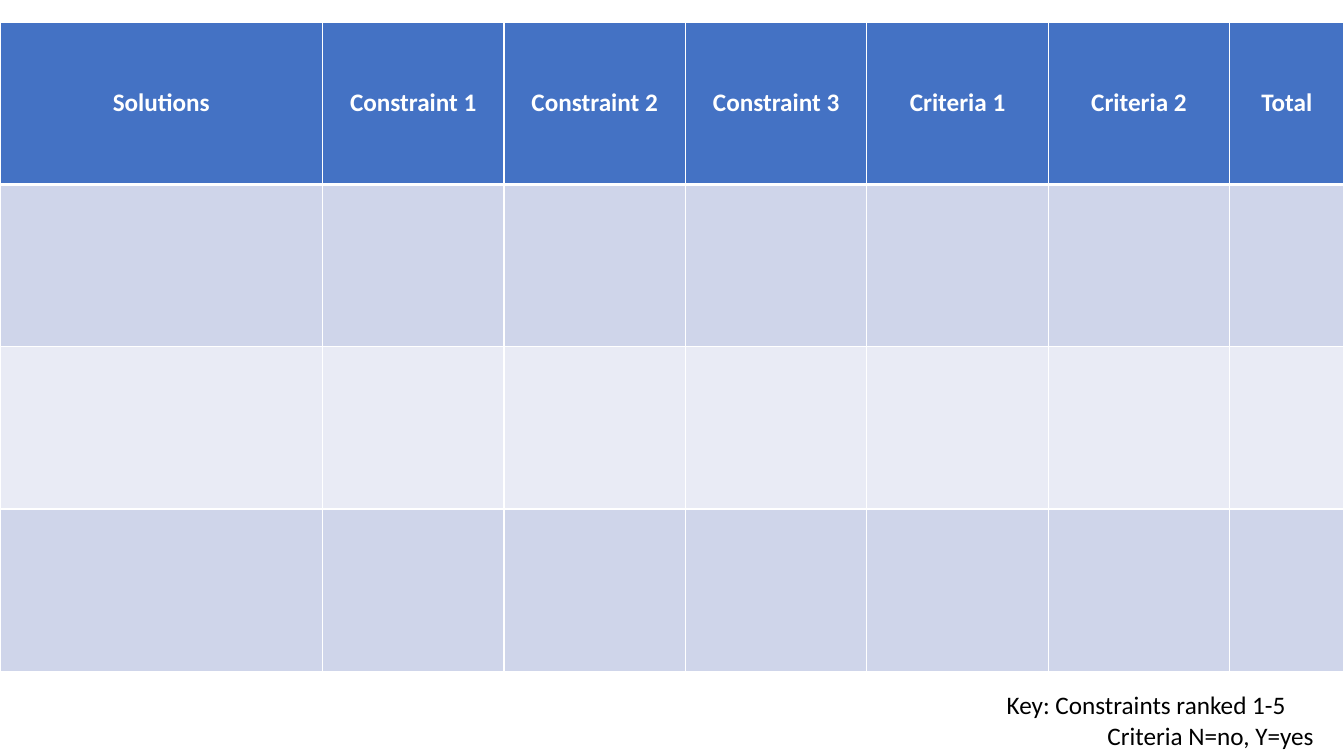
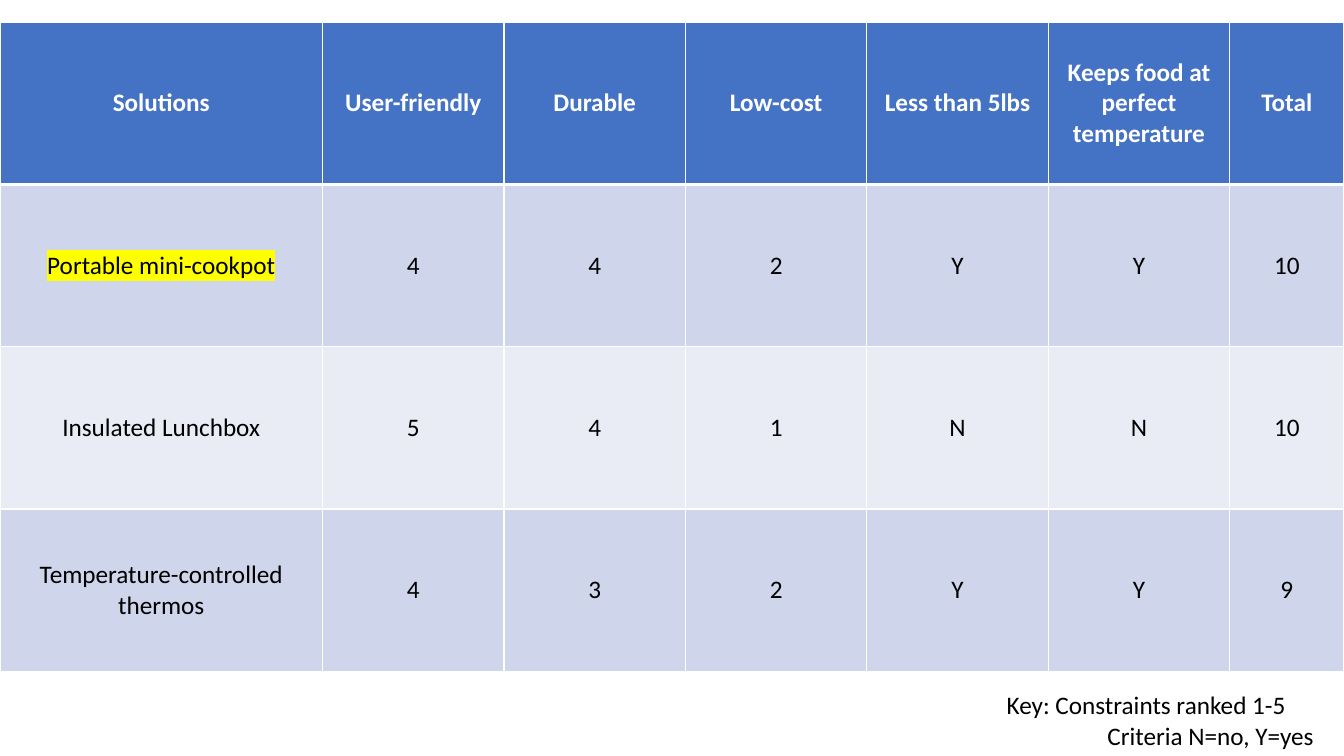
from dataclasses import dataclass

from lxml import etree
from pptx import Presentation
from pptx.dml.color import RGBColor
from pptx.enum import text
from pptx.oxml import ns
from pptx.util import Pt

FONT = "Calibri"
WHITE, BLACK, YELLOW = "FFFFFF", "000000", "FFFF00"
HEADER_FILL = "4472C4"
BAND_FILLS = ("CFD5EA", "E9EBF5")
TABLE_TOP, ROW_HEIGHT = 15.84, 115.92
COLUMN_WIDTHS = (230.4, *[129.6] * 5, 81.6)
THIN, THICK = 1, 3
KEY_LINES = ("Key: Constraints ranked 1-5", "\tCriteria N=no, Y=yes")
KEY_TAB = 72


@dataclass(frozen=True)
class Matrix:
    headings: tuple[str, ...]
    solutions: tuple[tuple[str, ...], ...]
    winner: str = ""


EMPTY_ROW = ("",) * len(COLUMN_WIDTHS)
MATRICES = (
    Matrix(
        ("Solutions", "Constraint 1", "Constraint 2", "Constraint 3",
         "Criteria 1", "Criteria 2", "Total"),
        (EMPTY_ROW,) * 3,
    ),
    Matrix(
        ("Solutions", "User-friendly", "Durable", "Low-cost",
         "Less than 5lbs", "Keeps food at perfect temperature", "Total"),
        (
            ("Portable mini-cookpot", "4", "4", "2", "Y", "Y", "10"),
            ("Insulated Lunchbox", "5", "4", "1", "N", "N", "10"),
            ("Temperature-controlled thermos", "4", "3", "2", "Y", "Y", "9"),
        ),
        winner="Portable mini-cookpot",
    ),
)


def rgb(value: str) -> RGBColor:
    return RGBColor.from_string(value)


def add_solid(parent, tag: str, value: str):
    """Append an element that holds one colour."""
    holder = etree.SubElement(parent, ns.qn(tag))
    etree.SubElement(holder, ns.qn("a:srgbClr"), val=value)
    return holder


def style_font(font, colour: str, bold: bool = False) -> None:
    for name, value in {"name": FONT, "size": Pt(18), "bold": bold}.items():
        setattr(font, name, value)
    font.color.rgb = rgb(colour)


def highlight(span, colour: str) -> None:
    properties = span.font._element if hasattr(span.font, "_element") else span._r.get_or_add_rPr()
    mark = add_solid(properties, "a:highlight", colour)
    properties.find(ns.qn("a:solidFill")).addnext(mark)


def set_borders(cell, top: float, bottom: float) -> None:
    properties = cell._tc.get_or_add_tcPr()
    widths = {"a:lnL": THIN, "a:lnR": THIN, "a:lnT": top, "a:lnB": bottom}
    for position, (tag, width) in enumerate(widths.items()):
        line = etree.Element(ns.qn(tag), w=str(Pt(width)))
        add_solid(line, "a:solidFill", WHITE)
        properties.insert(position, line)


def fill_cell(cell, label: str, row: int, marked: bool) -> None:
    is_header = row == 0
    cell.fill.solid()
    cell.fill.fore_color.rgb = rgb(HEADER_FILL if is_header else BAND_FILLS[(row - 1) % 2])
    set_borders(cell, THICK if row == 1 else THIN, THICK if is_header else THIN)
    cell.vertical_anchor = text.MSO_ANCHOR.MIDDLE
    para = cell.text_frame.paragraphs[0]
    para.alignment = text.PP_ALIGN.CENTER
    if label:
        span = para.add_run()
        span.text = label
        style_font(span.font, WHITE if is_header else BLACK, is_header)
        if marked:
            highlight(span, YELLOW)


def add_matrix(page, matrix: Matrix) -> None:
    rows = (matrix.headings, *matrix.solutions)
    table = page.shapes.add_table(
        len(rows), len(COLUMN_WIDTHS), Pt(0), Pt(TABLE_TOP),
        Pt(sum(COLUMN_WIDTHS)), Pt(ROW_HEIGHT * len(rows)),
    ).table
    table.horz_banding = False
    for column, width in zip(table.columns, COLUMN_WIDTHS):
        column.width = Pt(width)
    for row, labels in enumerate(rows):
        table.rows[row].height = Pt(ROW_HEIGHT)
        for column, label in enumerate(labels):
            marked = bool(label) and label == matrix.winner
            fill_cell(table.cell(row, column), label, row, marked)


def add_key(page) -> None:
    """Explain the scores below the table."""
    box = page.shapes.add_textbox(Pt(712), Pt(489), Pt(236), Pt(51))
    frame = box.text_frame
    frame.word_wrap = False
    frame.auto_size = text.MSO_AUTO_SIZE.SHAPE_TO_FIT_TEXT
    for index, line in enumerate(KEY_LINES):
        para = frame.add_paragraph() if index else frame.paragraphs[0]
        stops = etree.SubElement(para._p.get_or_add_pPr(), ns.qn("a:tabLst"))
        etree.SubElement(stops, ns.qn("a:tab"), pos=str(Pt(KEY_TAB)), algn="l")
        span = para.add_run()
        span.text = line
        style_font(span.font, BLACK)


def main() -> None:
    deck = Presentation()
    deck.slide_width, deck.slide_height = Pt(960), Pt(540)
    for matrix in MATRICES:
        page = deck.slides.add_slide(deck.slide_layouts[6])
        add_matrix(page, matrix)
        add_key(page)
    deck.save("out.pptx")


if __name__ == "__main__":
    main()
